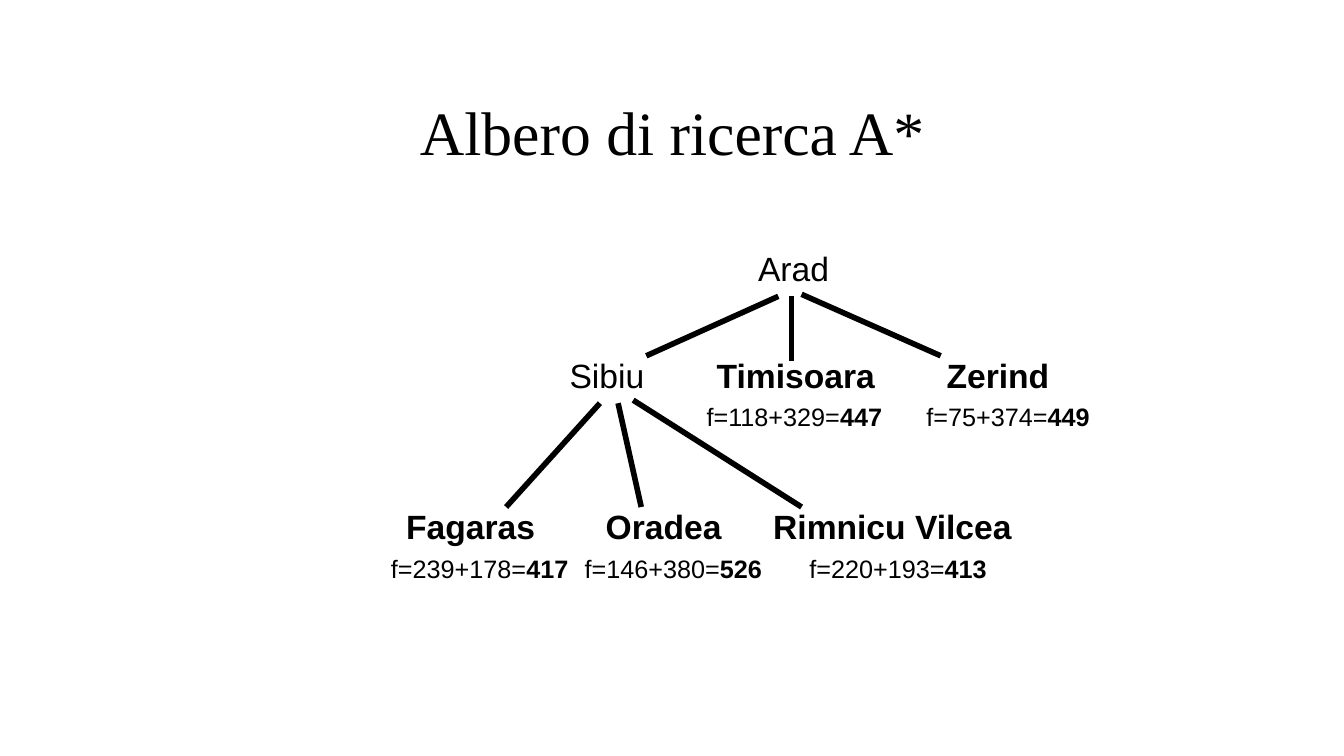
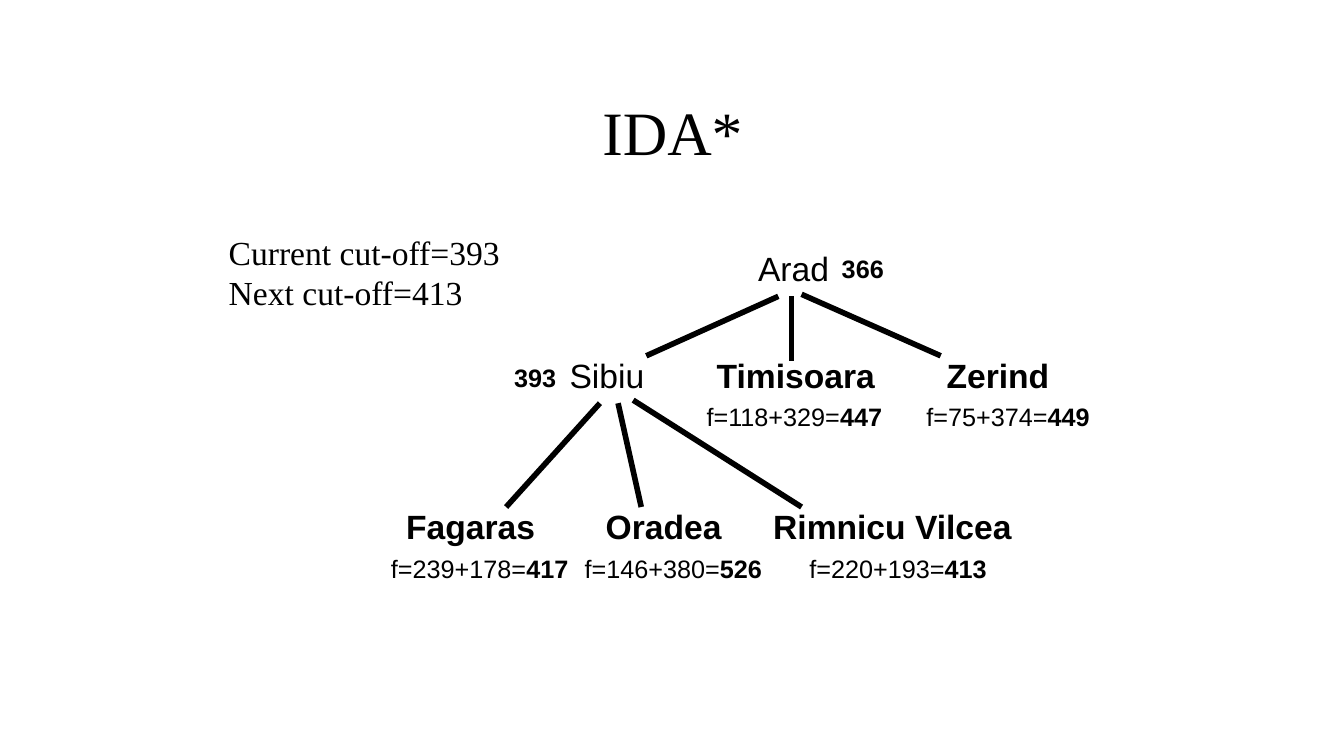
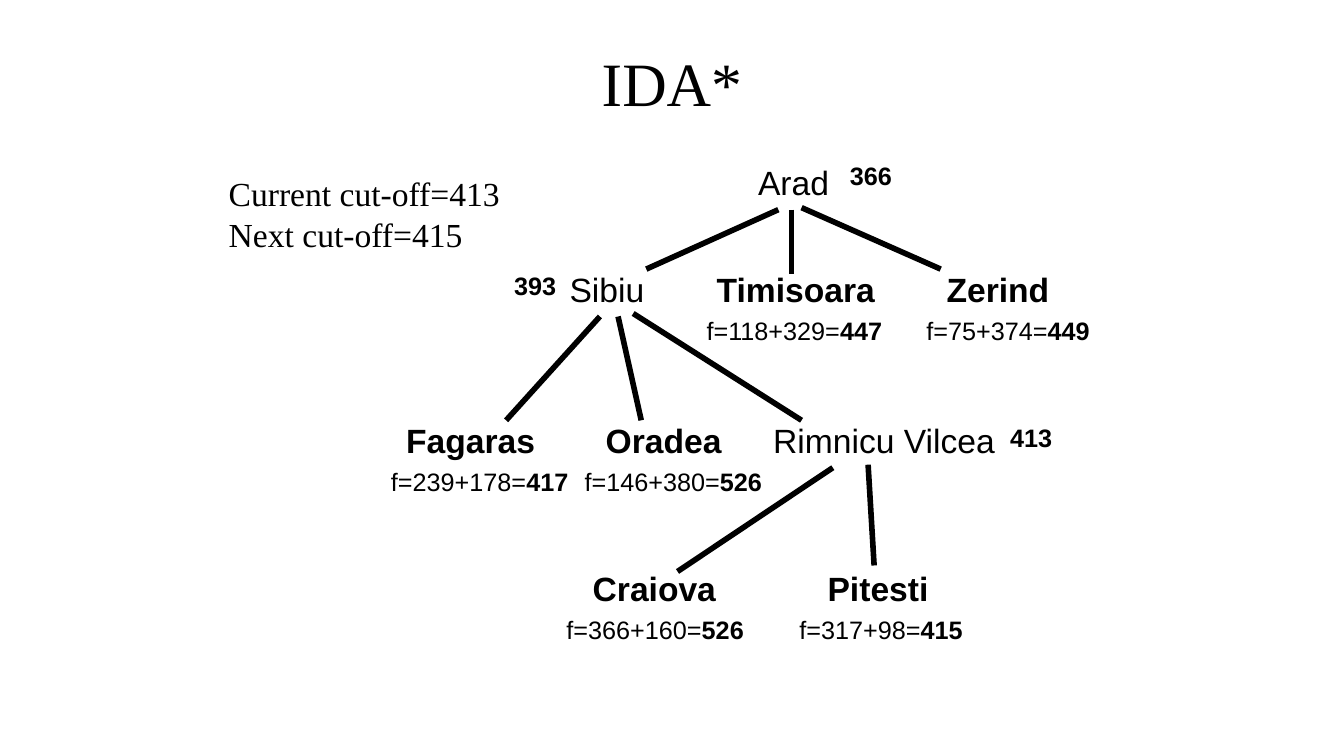
from dataclasses import dataclass, replace

from lxml.etree import SubElement
from pptx import Presentation
from pptx.dml.color import RGBColor
from pptx.enum.shapes import MSO_CONNECTOR as Connector
from pptx.enum.text import MSO_ANCHOR as Anchor, MSO_AUTO_SIZE as AutoSize, PP_ALIGN as Align
from pptx.oxml.ns import qn
from pptx.util import Emu, Pt

PX = 9144


@dataclass(frozen=True)
class Theme:
    ink: RGBColor = RGBColor(0, 0, 0)
    paper: RGBColor = RGBColor(255, 255, 255)
    serif: str = "Times New Roman"
    sans: str = "Arial"
    title_size: int = 44
    name_size: int = 24
    cost_size: int = 18
    branch_width: int = 4
    line_spacing: float = 0.9
    note_gap: int = 15
    name_height: int = 46
    cost_height: int = 37
    cost_drop: int = 45


THEME = Theme()


@dataclass(frozen=True)
class City:
    name: str
    left: int
    top: int
    width: int
    terms: str = ""
    total: str = ""
    cost_left: int = 0
    cost_width: int = 197


RIMNICU = City("Rimnicu Vilcea", 757, 502, 259, "f=220+193=", "413", 793)
RIMNICU_EXPANDED = replace(RIMNICU, width=242, terms="", total="")
SHARED_CITIES = [
    City("Arad", 742, 246, 91),
    City("Sibiu", 555, 352, 95),
    City("Timisoara", 701, 352, 178, "f=118+329=", "447", 691, 195),
    City("Zerind", 929, 352, 123, "f=75+374=", "449", 909, 183),
    City("Fagaras", 393, 502, 149, "f=239+178=", "417", 378),
    City("Oradea", 591, 502, 136, "f=146+380=", "526", 570),
]
RIMNICU_CHILDREN = [
    City("Craiova", 578, 649, 144, "f=366+160=", "526", 552),
    City("Pitesti", 811, 649, 121, "f=317+98=", "415", 783, 183),
]
SHARED_BRANCHES = [
    (772, 294, 641, 353),
    (785, 294, 785, 358),
    (795, 292, 933, 353),
    (595, 400, 502, 503),
    (613, 400, 636, 503),
    (628, 397, 795, 503),
]
RIMNICU_BRANCHES = [(826, 550, 672, 653), (861, 547, 867, 647)]


def px(*lengths):
    return [Emu(length * PX) for length in lengths]


def add_text(page, place, spans, size, font):
    box = page.shapes.add_textbox(*px(*place))
    para = box.text_frame.paragraphs[0]
    for text, bold in spans:
        span = para.add_run()
        span.text = text
        span.font.size = Pt(size)
        span.font.name = font
        span.font.bold = bold
        span.font.color.rgb = THEME.ink
    return box.text_frame


def add_title(page, text, left, top, width):
    frame = add_text(page, (left, top, width, 125), [(text, False)], THEME.title_size, THEME.serif)
    frame.word_wrap = True
    frame.vertical_anchor = Anchor.MIDDLE
    frame.paragraphs[0].alignment = Align.CENTER


def add_label(page, place, spans, size):
    frame = add_text(page, place, spans, size, THEME.sans)
    frame.word_wrap = False
    frame.auto_size = AutoSize.SHAPE_TO_FIT_TEXT
    frame.paragraphs[0].line_spacing = THEME.line_spacing


def add_city(page, city, lift):
    top = city.top - lift
    is_leaf = bool(city.terms)
    add_label(page, (city.left, top, city.width, THEME.name_height),
              [(city.name, is_leaf)], THEME.name_size)
    if is_leaf:
        add_label(page, (city.cost_left, top + THEME.cost_drop, city.cost_width, THEME.cost_height),
                  [(city.terms, False), (city.total, True)], THEME.cost_size)


def add_branch(page, ends, lift):
    x1, y1, x2, y2 = ends
    branch = page.shapes.add_connector(Connector.STRAIGHT, *px(x1, y1 - lift, x2, y2 - lift))
    branch.line.color.rgb = THEME.ink
    branch.line.width = Pt(THEME.branch_width)
    SubElement(branch._element.spPr, qn("a:effectLst"))


def add_tree(page, cities, branches, lift=0):
    for city in cities:
        add_city(page, city, lift)
    for ends in branches:
        add_branch(page, ends, lift)


def add_values(page, values):
    for text, left, top in values:
        add_label(page, (left, top, 62, THEME.cost_height), [(text, True)], THEME.cost_size)


def add_cutoffs(page, current, following, top):
    text = f"Current cut-off={current} Next cut-off={following}"
    frame = add_text(page, (217, top, 317, 90), [(text, False)], THEME.name_size, THEME.serif)
    frame.word_wrap = True
    frame.auto_size = AutoSize.SHAPE_TO_FIT_TEXT
    frame.paragraphs[0].space_before = Pt(THEME.note_gap)


def add_page(deck):
    page = deck.slides.add_slide(deck.slide_layouts[6])
    page.background.fill.solid()
    page.background.fill.fore_color.rgb = THEME.paper
    return page


def add_a_star(deck):
    page = add_page(deck)
    add_title(page, "Albero di ricerca A*", 242, 67, 850)
    add_tree(page, SHARED_CITIES + [RIMNICU], SHARED_BRANCHES)


def add_first_cutoff(deck):
    page = add_page(deck)
    add_title(page, "IDA*", 242, 67, 850)
    add_tree(page, SHARED_CITIES + [RIMNICU], SHARED_BRANCHES)
    add_cutoffs(page, 393, 413, 225)
    add_values(page, [("366", 825, 250), ("393", 500, 358)])


def add_second_cutoff(deck):
    page = add_page(deck)
    add_title(page, "IDA*", 305, 19, 723)
    add_tree(page, SHARED_CITIES + [RIMNICU_EXPANDED] + RIMNICU_CHILDREN,
             SHARED_BRANCHES + RIMNICU_BRANCHES, lift=86)
    add_cutoffs(page, 413, 415, 167)
    add_values(page, [("393", 500, 267), ("366", 833, 158), ("413", 992, 417)])


def main():
    deck = Presentation()
    deck.slide_width, deck.slide_height = px(1333, 750)
    add_a_star(deck)
    add_first_cutoff(deck)
    add_second_cutoff(deck)
    deck.save("out.pptx")


if __name__ == "__main__":
    main()
